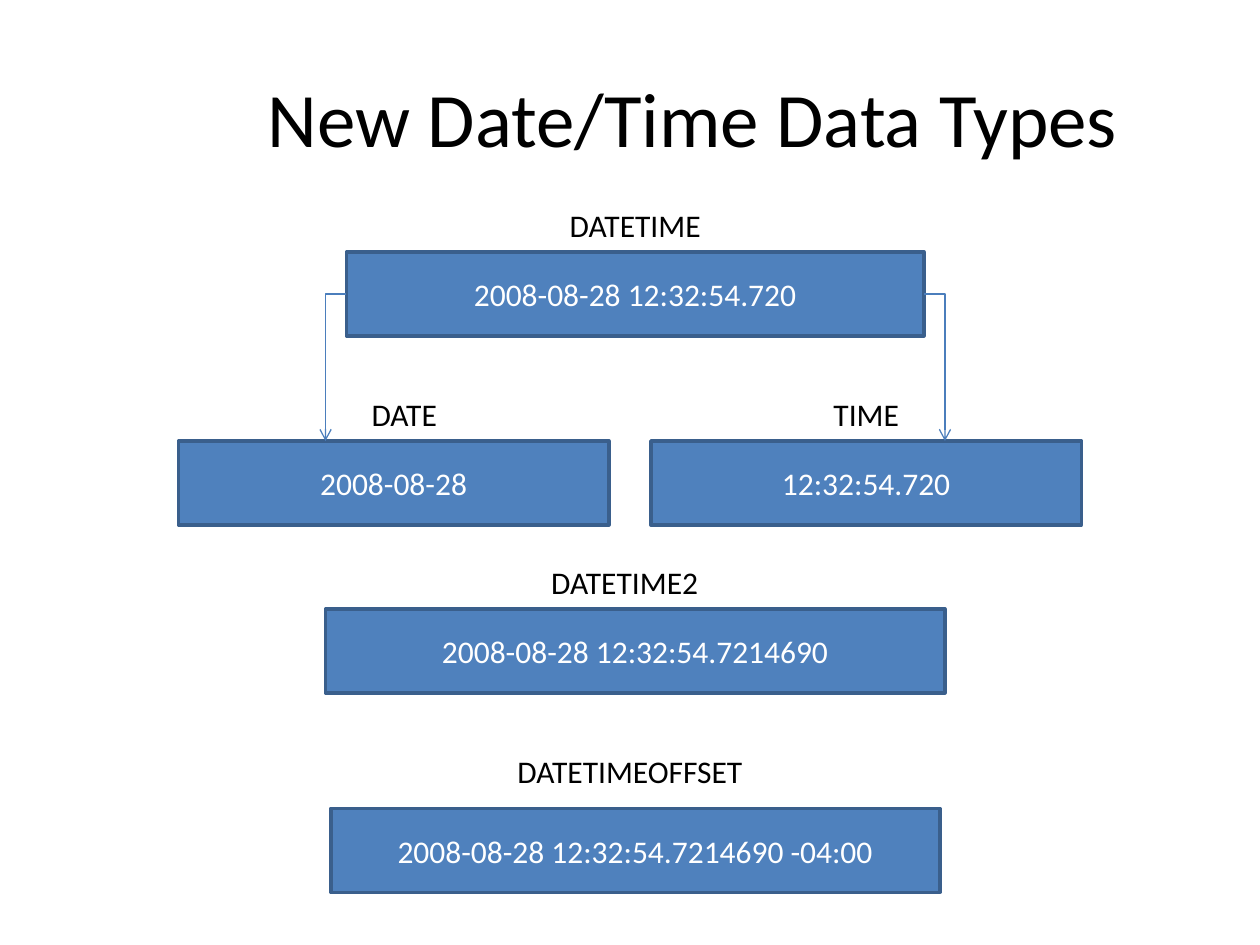
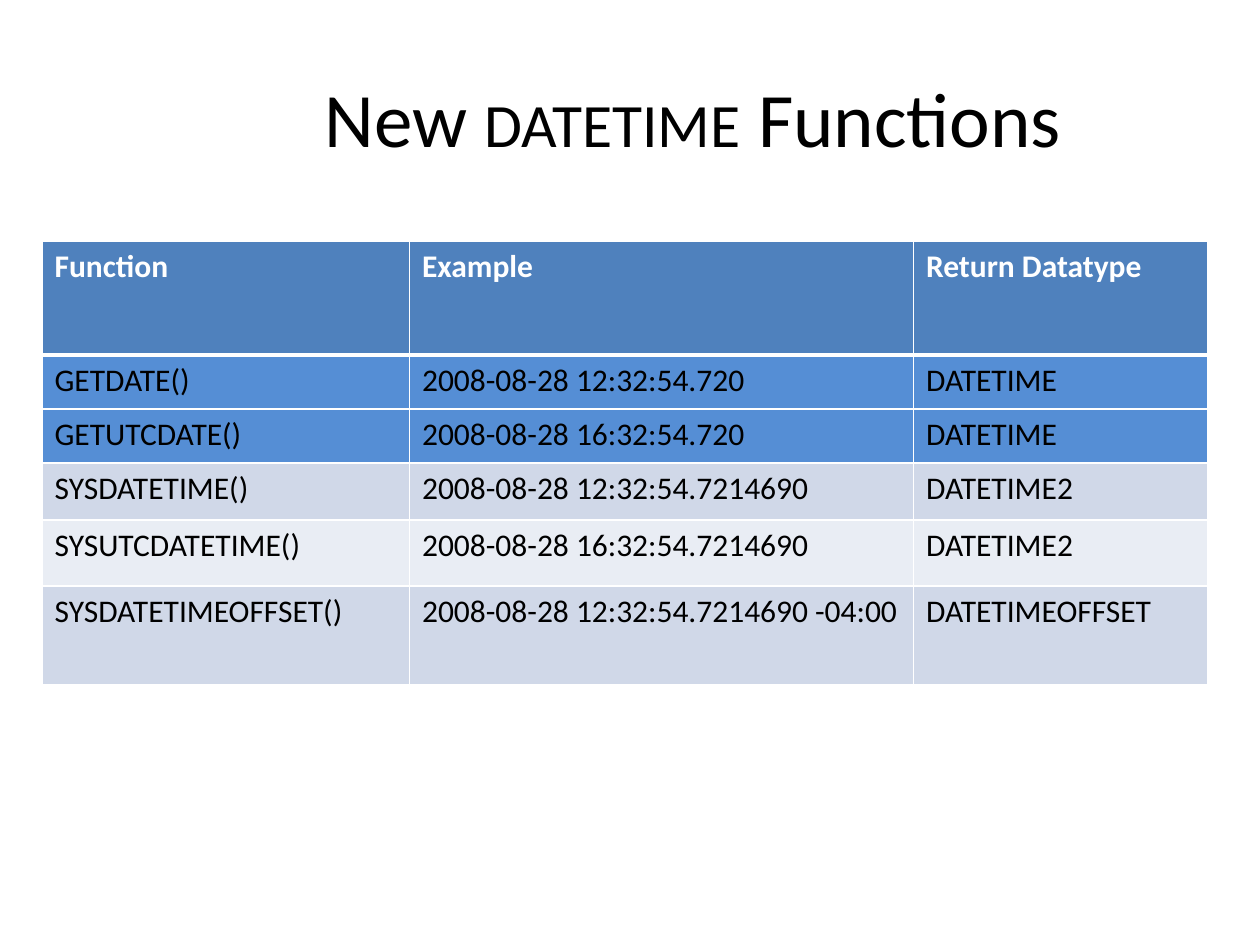
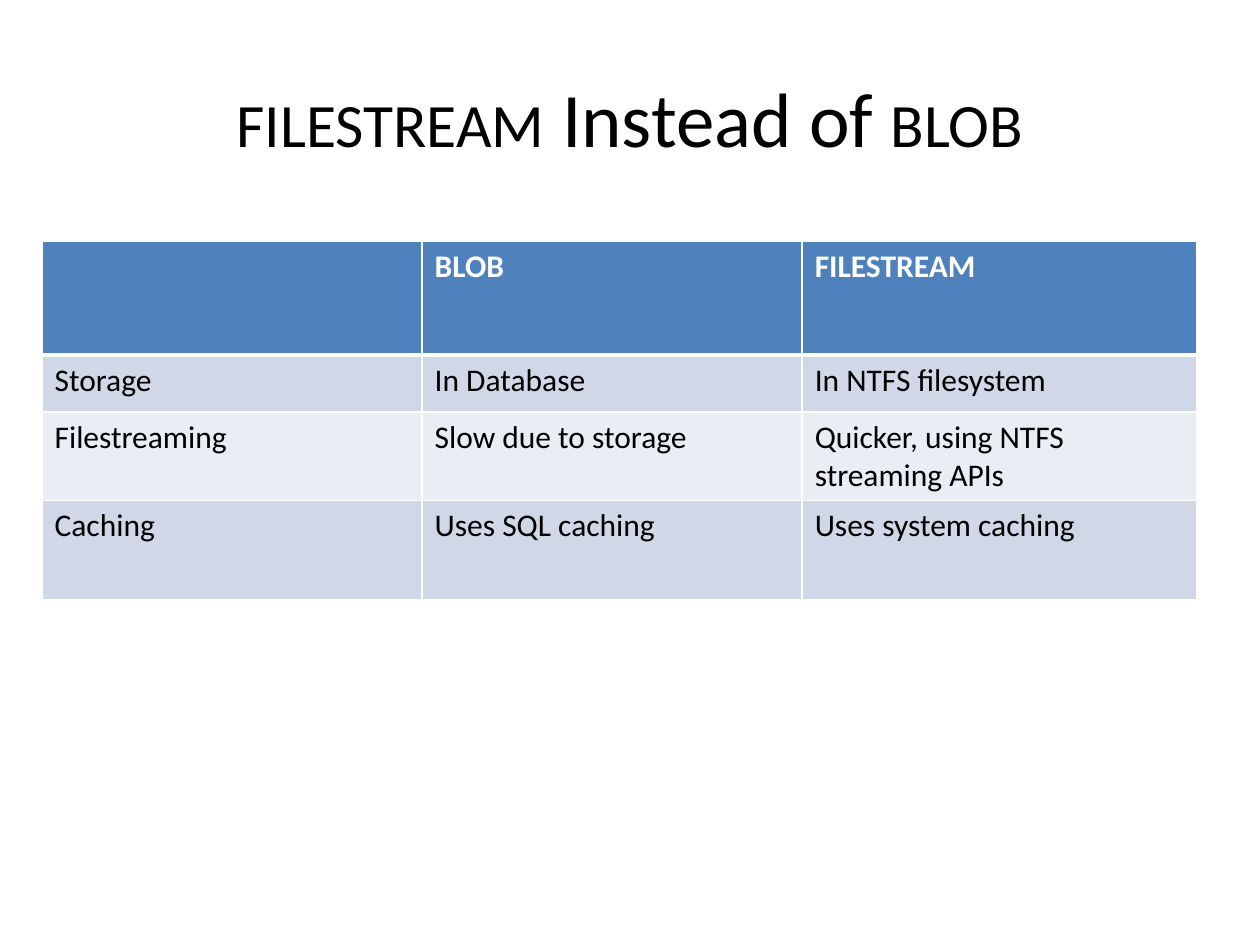
from lxml.etree import SubElement
from pptx import Presentation
from pptx.dml.color import RGBColor
from pptx.enum.shapes import MSO_CONNECTOR, MSO_SHAPE
from pptx.enum.text import MSO_ANCHOR, PP_ALIGN
from pptx.oxml.ns import qn
from pptx.util import Inches, Pt

FONT = "Calibri"
BLACK, WHITE = "000000", "FFFFFF"
BLUE, BOX_EDGE, ARROW = "4F81BD", "3A5F8C", "4B7EBC"
HIGHLIGHT, BAND_DARK, BAND_LIGHT = "558ED5", "D0D8E8", "E9EDF4"
BOX_HEIGHT, LABEL_HEIGHT = 8, 4.8


def rgb(hex_color):
    """Turn a hex string into a colour."""
    return RGBColor.from_string(hex_color)


def grid(*cells):
    """Convert grid cells, twelve to the inch, into lengths."""
    return [Inches(c / 12) for c in cells]


def style_run(r, size=18, color=BLACK, bold=False):
    """Apply the shared font to a run."""
    r.font.name, r.font.size, r.font.bold = FONT, Pt(size), bold
    r.font.color.rgb = rgb(color)


def fill_text(tf, text, color=BLACK, align=PP_ALIGN.LEFT, bold=False):
    """Write one body paragraph into a text frame."""
    tf.word_wrap = True
    tf.text = text
    p = tf.paragraphs[0]
    p.alignment = align
    for r in p.runs:
        style_run(r, color=color, bold=bold)


def add_title(s, parts, left=18, width=96):
    """Add a title whose lower-case parts show as small capitals."""
    tf = s.shapes.add_textbox(*grid(left, 3.6, width, 15)).text_frame
    tf.word_wrap = True
    tf.vertical_anchor = MSO_ANCHOR.MIDDLE
    p = tf.paragraphs[0]
    p.alignment = PP_ALIGN.CENTER
    for text in parts:
        r = p.add_run()
        r.text = text
        style_run(r, size=44)
        if text.islower():
            r.font._element.set("cap", "small")


def add_type_box(s, name, value, center, top, width,
                 label_center, label_top, label_width=25):
    """Add a grouped sample value box and the data type name above it."""
    shapes = s.shapes.add_group_shape().shapes
    sp = shapes.add_shape(MSO_SHAPE.RECTANGLE,
                          *grid(center - width / 2, top, width, BOX_HEIGHT))
    sp.shadow.inherit = False
    sp.fill.solid()
    sp.fill.fore_color.rgb = rgb(BLUE)
    sp.line.color.rgb = rgb(BOX_EDGE)
    sp.line.width = Pt(2)
    sp.text_frame.vertical_anchor = MSO_ANCHOR.MIDDLE
    fill_text(sp.text_frame, value, WHITE, PP_ALIGN.CENTER)
    label = shapes.add_textbox(*grid(label_center - label_width / 2, label_top,
                                     label_width, LABEL_HEIGHT))
    fill_text(label.text_frame, name, align=PP_ALIGN.CENTER)


def add_elbow_arrow(s, x1, y1, x2, y2):
    """Add an arrow that runs sideways and then down."""
    cxn = s.shapes.add_connector(MSO_CONNECTOR.ELBOW, *grid(x1, y1, x2, y2))
    cxn.line.color.rgb = rgb(ARROW)
    cxn.line.width = Pt(0.75)
    sp_pr = cxn._element.spPr
    sp_pr.find(qn("a:prstGeom")).set("prst", "bentConnector2")
    SubElement(sp_pr.find(qn("a:ln")), qn("a:tailEnd"), type="arrow")
    SubElement(sp_pr, qn("a:effectLst"))


def set_borders(cell, top, bottom):
    """Draw white cell borders with the given top and bottom widths."""
    tc_pr = cell._tc.get_or_add_tcPr()
    for side, width in zip("LRTB", (1, 1, top, bottom)):
        ln = SubElement(tc_pr, qn(f"a:ln{side}"), w=str(Pt(width)))
        SubElement(SubElement(ln, qn("a:solidFill")), qn("a:srgbClr"), val=WHITE)


def add_grid_table(s, rows, widths, heights, fills):
    """Add a table with a bold header and one fill per row."""
    frame = s.shapes.add_table(len(rows), len(widths),
                               *grid(4, 23, sum(widths), sum(heights)))
    table = frame.table
    table.first_row = table.horz_banding = False
    for column, width in zip(table.columns, grid(*widths)):
        column.width = width
    for i, (row, height) in enumerate(zip(table.rows, grid(*heights))):
        row.height = height
        header = i == 0
        for cell, text in zip(row.cells, rows[i]):
            set_borders(cell, 3 if i == 1 else 1, 3 if header else 1)
            cell.fill.solid()
            cell.fill.fore_color.rgb = rgb(fills[i])
            fill_text(cell.text_frame, text, WHITE if header else BLACK, bold=header)


def build_types(s):
    """Show how the date and time types relate."""
    add_title(s, ["New Date/Time Data Types"])
    for box in [
        ("DATETIME", "2008-08-28 12:32:54.720", 60.5, 24, 55, 60.5, 19, 33.5),
        ("DATE", "2008-08-28", 37.5, 42, 41, 38.5, 37),
        ("TIME", "12:32:54.720", 82.5, 42, 41, 82.5, 37),
        ("DATETIME2", "2008-08-28 12:32:54.7214690", 60.5, 58, 59, 59.5, 53),
        ("DATETIMEOFFSET", "2008-08-28 12:32:54.7214690 -04:00",
         60.5, 77, 58, 60, 71),
    ]:
        add_type_box(s, *box)
    for start, end in [(33, 31), (88, 90)]:
        add_elbow_arrow(s, start, 28, end, 42)


def build_functions(s):
    """List the date and time functions."""
    add_title(s, ["New ", "datetime", " Functions"])
    rows = [
        ("Function", "Example", "Return Datatype"),
        ("GETDATE()", "2008-08-28 12:32:54.720", "DATETIME"),
        ("GETUTCDATE()", "2008-08-28 16:32:54.720", "DATETIME"),
        ("SYSDATETIME()", "2008-08-28 12:32:54.7214690", "DATETIME2"),
        ("SYSUTCDATETIME()", "2008-08-28 16:32:54.7214690", "DATETIME2"),
        ("SYSDATETIMEOFFSET()", "2008-08-28 12:32:54.7214690 -04:00",
         "DATETIMEOFFSET"),
    ]
    add_grid_table(s, rows, [35, 48, 28], [10.8, 5.15, 5.15, 5.45, 6.25, 9.45],
                   [BLUE, HIGHLIGHT, HIGHLIGHT, BAND_DARK, BAND_LIGHT, BAND_DARK])


def build_filestream(s):
    """Compare the two ways to store large objects."""
    add_title(s, ["filestream", " Instead of ", "blob"], left=6, width=108)
    rows = [
        ("", "BLOB", "FILESTREAM"),
        ("Storage", "In Database", "In NTFS filesystem"),
        ("Filestreaming", "Slow due to storage",
         "Quicker, using NTFS streaming APIs"),
        ("Caching", "Uses SQL caching", "Uses system caching"),
    ]
    add_grid_table(s, rows, [36.2, 36.2, 37.6], [10.8, 5.45, 6.25, 9.45],
                   [BLUE, BAND_DARK, BAND_LIGHT, BAND_DARK])


def main():
    """Build and save the three slides."""
    prs = Presentation()
    prs.slide_width, prs.slide_height = Inches(10), Inches(7.5)
    for build in (build_types, build_functions, build_filestream):
        build(prs.slides.add_slide(prs.slide_layouts[6]))
    prs.save("out.pptx")


if __name__ == "__main__":
    main()
